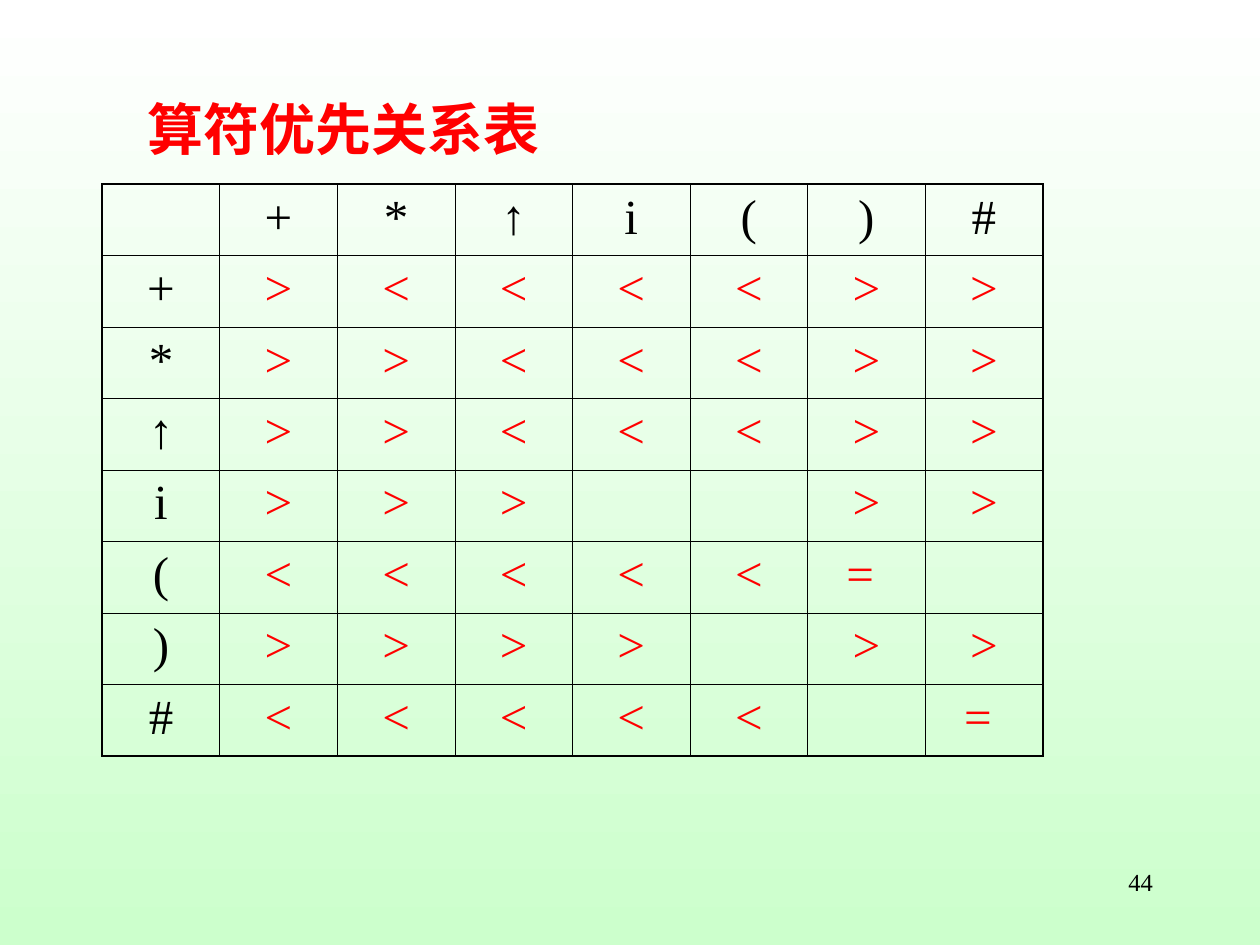
import pptx
import pptx.util
import pptx.dml.color
import pptx.enum.text
import pptx.oxml
import pptx.oxml.ns

Cm = pptx.util.Cm
Pt = pptx.util.Pt
ALIGN = pptx.enum.text.PP_ALIGN

COLORS = {"black": "000000", "red": "FF0000", "sky": "FFFFFF", "ground": "CCFFCC"}
FONT = "Times New Roman"

TITLE = "算符优先关系表 "
PAGE_NUMBER = "44"
OPERATORS = ["+", "*", "↑", "i", "(", ")", "#"]
RELATIONS = [
    [">", "<", "<", "<", "<", ">", ">"],
    [">", ">", "<", "<", "<", ">", ">"],
    [">", ">", "<", "<", "<", ">", ">"],
    [">", ">", ">", "", "", ">", ">"],
    ["<", "<", "<", "<", "<", "= ", ""],
    [">", ">", ">", ">", "", ">", ">"],
    ["<", "<", "<", "<", "<", "", "= "],
]
COLUMN_WIDTH, ROW_HEIGHT = Cm(2.37), Cm(1.44)
INNER_LINE, OUTER_LINE = Pt(0.45), Pt(1.08)


def rgb(name):
    return pptx.dml.color.RGBColor.from_string(COLORS[name])


def write(frame, text, size=28, color="black", bold=False, align=ALIGN.CENTER):
    paragraph = frame.paragraphs[0]
    paragraph.alignment = align
    run = paragraph.add_run()
    run.text = text
    run.font.name = FONT
    run.font.size = Pt(size)
    run.font.bold = bold
    run.font.color.rgb = rgb(color)


def add_label(slide, left, top, width, height, text, **style):
    frame = slide.shapes.add_textbox(Cm(left), Cm(top), Cm(width), Cm(height)).text_frame
    frame.word_wrap = True
    write(frame, text, **style)


def set_borders(cell, outer_sides):
    properties = cell._tc.get_or_add_tcPr()
    for position, side in enumerate("LRTB"):
        width = OUTER_LINE if side in outer_sides else INNER_LINE
        properties.insert(position, pptx.oxml.parse_xml(
            f'<a:ln{side} {pptx.oxml.ns.nsdecls("a")} w="{int(width)}"><a:solidFill>'
            f'<a:srgbClr val="{COLORS["black"]}"/></a:solidFill></a:ln{side}>'))


def add_precedence_table(slide):
    grid = [[""] + OPERATORS]
    grid += [[operator] + row for operator, row in zip(OPERATORS, RELATIONS)]
    count = len(grid)
    table = slide.shapes.add_table(
        count, count, Cm(2.06), Cm(3.71), COLUMN_WIDTH * count, ROW_HEIGHT * count).table
    table.first_row = table.horz_banding = False
    for column in table.columns:
        column.width = COLUMN_WIDTH
    for r, entries in enumerate(grid):
        table.rows[r].height = ROW_HEIGHT
        for c, entry in enumerate(entries):
            cell = table.cell(r, c)
            cell.fill.background()
            edges = {"L": c == 0, "R": c == count - 1, "T": r == 0, "B": r == count - 1}
            set_borders(cell, [side for side, outer in edges.items() if outer])
            if entry:
                write(cell.text_frame, entry, bold=entry == "↑",
                      color="red" if r and c else "black")


def main():
    deck = pptx.Presentation()
    deck.slide_width, deck.slide_height = Cm(25.4), Cm(19.05)
    slide = deck.slides.add_slide(deck.slide_layouts[6])

    backdrop = slide.background.fill
    backdrop.gradient()
    backdrop.gradient_angle = 270
    for stop, position, name in zip(backdrop.gradient_stops, (0, 1), ("sky", "ground")):
        stop.position = position
        stop.color.rgb = rgb(name)

    add_label(slide, 1.65, 1.78, 10.8, 1.63, TITLE, size=32, color="red", bold=True)
    add_precedence_table(slide)
    add_label(slide, 18.21, 17.35, 5.28, 1.27, PAGE_NUMBER, size=14, align=ALIGN.RIGHT)
    deck.save("out.pptx")


if __name__ == "__main__":
    main()
